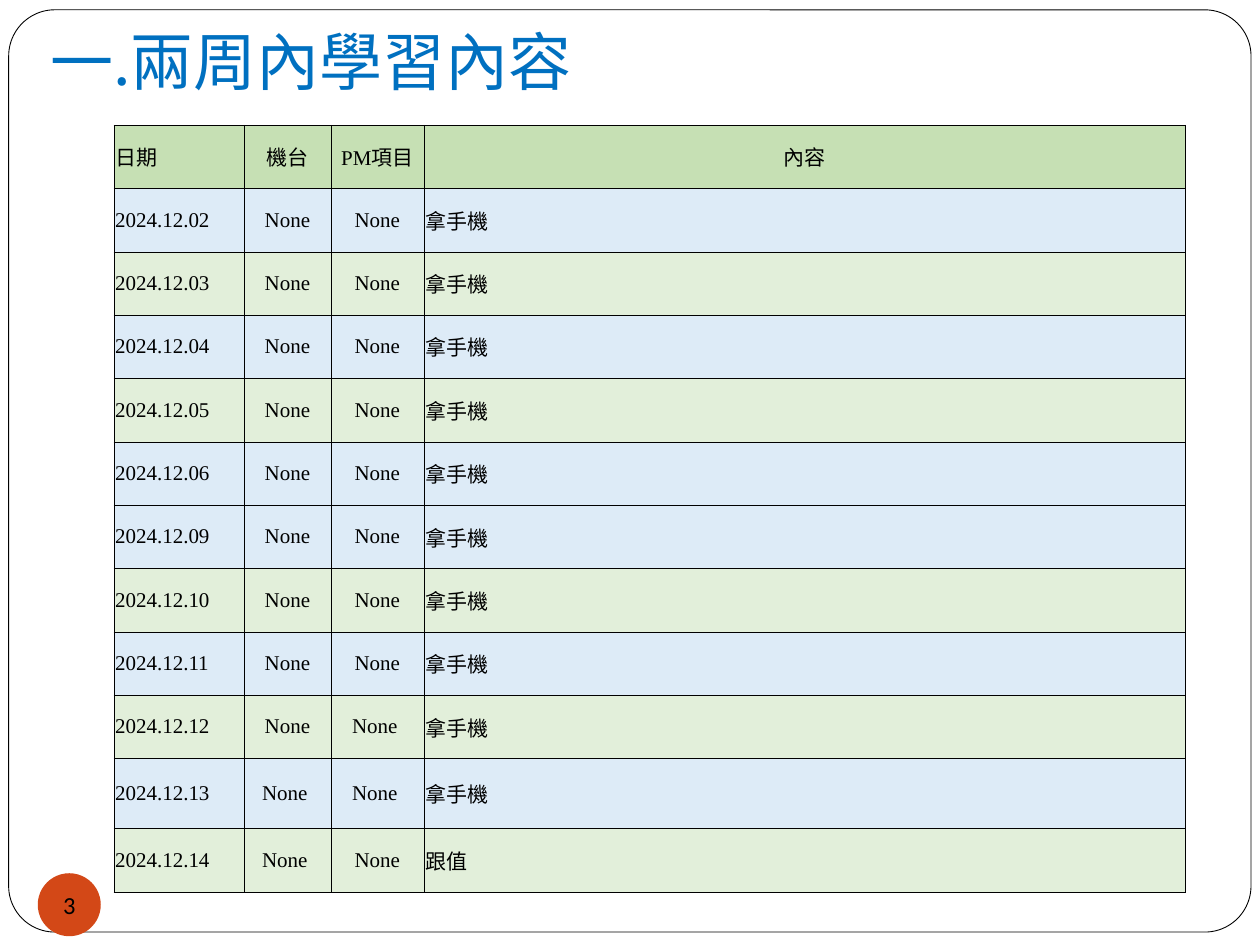
from dataclasses import dataclass

import pptx
import pptx.dml.color
import pptx.enum.shapes
import pptx.enum.text
import pptx.oxml
import pptx.oxml.ns
import pptx.util

Pt = pptx.util.Pt
SHAPE = pptx.enum.shapes.MSO_SHAPE
ALIGN = pptx.enum.text.PP_ALIGN
ANCHOR = pptx.enum.text.MSO_ANCHOR

COLORS = {
    "paper": "FFFFFF",
    "ink": "000000",
    "title": "0070C0",
    "badge": "D34817",
    "header": "C6E0B4",
    "blue": "DDEBF7",
    "green": "E2EFDA",
}
CJK_FONT = "Noto Sans CJK SC"
TABLE_FONT = "Times New Roman"
BORDER_WIDTH = 0.23
ROW_HEIGHT = 36.22
FIRST_MONDAY = 2


@dataclass(frozen=True)
class Column:
    heading: str
    width: float
    heading_align: ALIGN
    align: ALIGN


@dataclass(frozen=True)
class Entry:
    day: int
    machine: str = "None"
    item: str = "None"
    content: str = "拿手機"
    height: float = ROW_HEIGHT

    def texts(self) -> tuple[str, ...]:
        return f"2024.12.{self.day:02}", self.machine, self.item, self.content

    def fill(self) -> str:
        """Alternate blue and green, starting again with blue each Monday."""
        return "green" if (self.day - FIRST_MONDAY) % 7 % 2 else "blue"


COLUMNS = [
    Column("日期", 74.3, ALIGN.LEFT, ALIGN.LEFT),
    Column("機台", 49.7, ALIGN.CENTER, ALIGN.CENTER),
    Column("PM項目", 53.1, ALIGN.CENTER, ALIGN.CENTER),
    Column("內容", 434.9, ALIGN.CENTER, ALIGN.LEFT),
]
ENTRIES = [
    *(Entry(day) for day in (2, 3, 4, 5, 6, 9, 10, 11)),
    Entry(12, item="None "),
    Entry(13, machine="None ", item="None ", height=40),
    Entry(14, machine="None ", content="跟值", height=36.5),
]


def rgb(name: str) -> pptx.dml.color.RGBColor:
    return pptx.dml.color.RGBColor.from_string(COLORS[name])


def set_margins(target, left: float, top: float, right: float, bottom: float) -> None:
    target.margin_left, target.margin_top = Pt(left), Pt(top)
    target.margin_right, target.margin_bottom = Pt(right), Pt(bottom)


def write(tf, text: str, size: float, font: str, color: str, align: ALIGN) -> None:
    p = tf.paragraphs[0]
    p.alignment = align
    r = p.add_run()
    r.text = text
    r.font.size = Pt(size)
    r.font.name = font
    r.font.color.rgb = rgb(color)
    ea = pptx.oxml.parse_xml(
        f'<a:ea {pptx.oxml.ns.nsdecls("a")} typeface="{CJK_FONT}"/>')
    r.font._element.append(ea)


def add_borders(cell) -> None:
    for side in "LRTB":
        cell._tc.get_or_add_tcPr().append(pptx.oxml.parse_xml(
            f'<a:ln{side} {pptx.oxml.ns.nsdecls("a")} w="{Pt(BORDER_WIDTH)}">'
            f'<a:solidFill><a:srgbClr val="{COLORS["ink"]}"/></a:solidFill>'
            f'</a:ln{side}>'))


def fill_cell(cell, text: str, fill: str, align: ALIGN) -> None:
    add_borders(cell)
    cell.fill.solid()
    cell.fill.fore_color.rgb = rgb(fill)
    cell.vertical_anchor = ANCHOR.MIDDLE
    set_margins(cell, 0.72, 3.6, 0.72, 3.6)
    write(cell.text_frame, text, 12, TABLE_FONT, "ink", align)


def add_frame(slide) -> None:
    sp = slide.shapes.add_shape(
        SHAPE.ROUNDED_RECTANGLE, Pt(5), Pt(5.6), Pt(709.9), Pt(527))
    sp.adjustments[0] = 0.05
    sp.shadow.inherit = False
    sp.fill.solid()
    sp.fill.fore_color.rgb = rgb("paper")
    sp.line.color.rgb = rgb("ink")
    sp.line.width = Pt(0.5)


def add_title(slide) -> None:
    tf = slide.shapes.add_textbox(Pt(21.6), Pt(5.6), Pt(612), Pt(57.6)).text_frame
    tf.word_wrap = True
    tf.vertical_anchor = ANCHOR.BOTTOM
    set_margins(tf, 7.2, 3.6, 7.2, 7.2)
    write(tf, "一.兩周內學習內容", 36, CJK_FONT, "title", ALIGN.LEFT)


def add_log_table(slide) -> None:
    heights = [ROW_HEIGHT, *(entry.height for entry in ENTRIES)]
    table = slide.shapes.add_table(
        len(heights), len(COLUMNS), Pt(65.1), Pt(71.5),
        Pt(sum(column.width for column in COLUMNS)), Pt(sum(heights))).table
    table.first_row = table.horz_banding = False
    for row, height in zip(table.rows, heights):
        row.height = Pt(height)
    for c, column in enumerate(COLUMNS):
        table.columns[c].width = Pt(column.width)
        fill_cell(table.cell(0, c), column.heading, "header", column.heading_align)
        for r, entry in enumerate(ENTRIES, start=1):
            fill_cell(table.cell(r, c), entry.texts()[c], entry.fill(), column.align)


def add_page_badge(slide) -> None:
    sp = slide.shapes.add_shape(SHAPE.OVAL, Pt(21.6), Pt(499), Pt(36), Pt(36))
    sp.shadow.inherit = False
    sp.fill.solid()
    sp.fill.fore_color.rgb = rgb("badge")
    sp.line.fill.background()
    tf = sp.text_frame
    tf.word_wrap = False
    tf.vertical_anchor = ANCHOR.MIDDLE
    set_margins(tf, 0, 0, 0, 0)
    write(tf, "3", 14, "Calibri", "ink", ALIGN.CENTER)


def main() -> None:
    prs = pptx.Presentation()
    prs.slide_width, prs.slide_height = Pt(720), Pt(540)
    slide = prs.slides.add_slide(prs.slide_layouts[6])
    add_frame(slide)
    add_title(slide)
    add_log_table(slide)
    add_page_badge(slide)
    prs.save("out.pptx")


if __name__ == "__main__":
    main()
